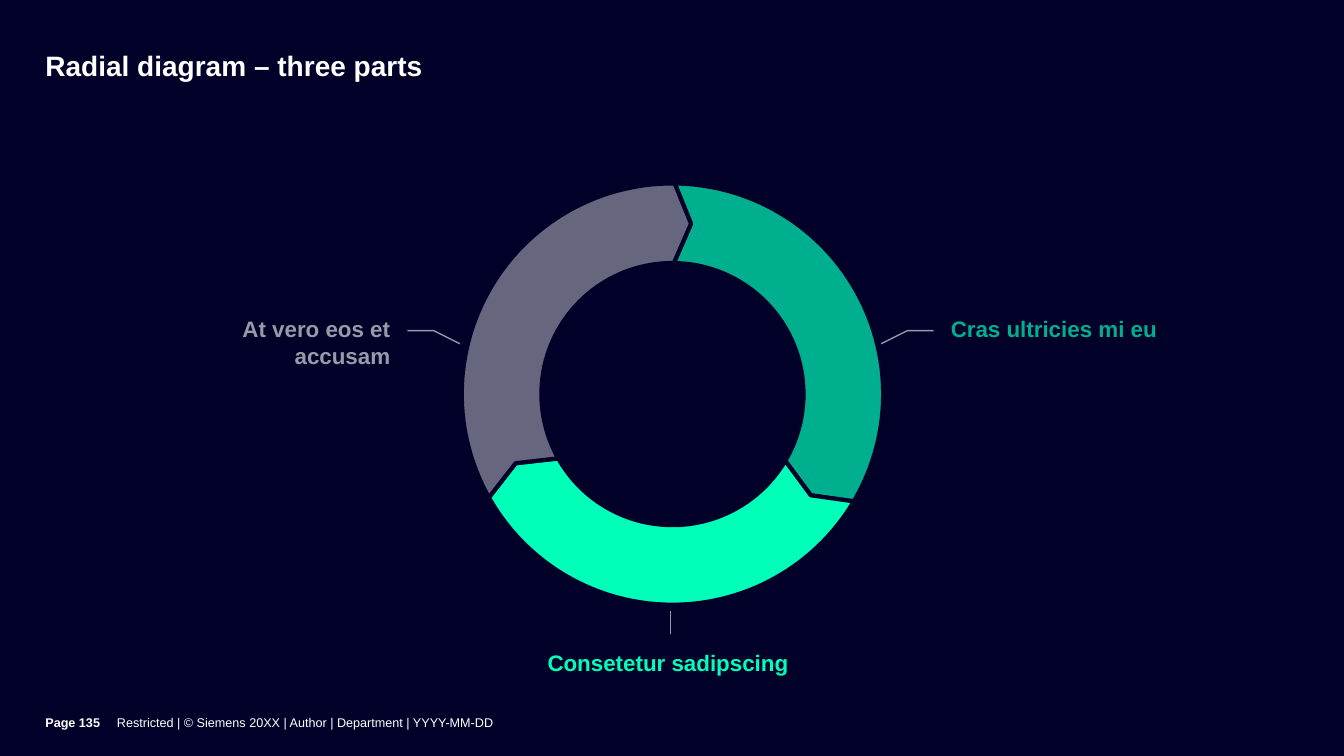
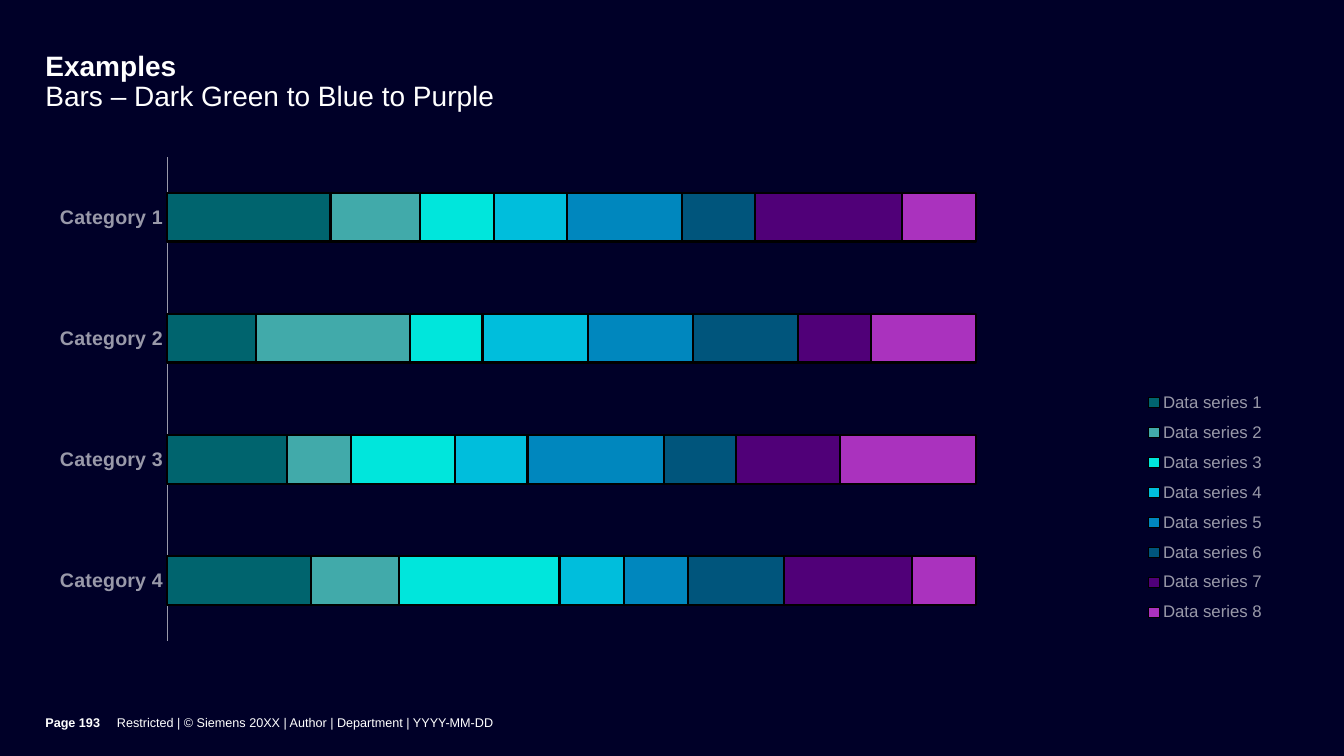
import math

from lxml import etree
from pptx import Presentation
from pptx.chart.data import CategoryChartData
from pptx.dml.color import RGBColor
from pptx.enum.chart import XL_CHART_TYPE, XL_LEGEND_POSITION, XL_TICK_MARK
from pptx.enum.shapes import MSO_CONNECTOR
from pptx.enum.text import MSO_ANCHOR, PP_ALIGN
from pptx.oxml.ns import qn
from pptx.util import Inches, Pt

LEFT, CENTER, RIGHT = PP_ALIGN.LEFT, PP_ALIGN.CENTER, PP_ALIGN.RIGHT
TOP, MIDDLE = MSO_ANCHOR.TOP, MSO_ANCHOR.MIDDLE
STRAIGHT = MSO_CONNECTOR.STRAIGHT
STACKED_100 = XL_CHART_TYPE.BAR_STACKED_100
LEGEND_RIGHT = XL_LEGEND_POSITION.RIGHT
NO_TICK = XL_TICK_MARK.NONE

FONT = "Arial"
COLORS = {
    "bg": "000028", "white": "FFFFFF", "black": "000000",
    "grey": "9999A9", "dark_grey": "66667E",
    "teal": "00AF8E", "mint": "00FFB9",
}
FOOTER = "Restricted | © Siemens 20XX | Author | Department | YYYY-MM-DD"

# Ring geometry: centre and radii in inches, angles clockwise from the top
CX, CY = 6.67, 3.91
OUTER, MID, INNER = 2.09, 1.7, 1.3
START, TIP, SWEEP, STEP = 0.6, 6.2, 120, 2

SERIES = [
    ("Data series 1", (20, 11, 15, 18), "00646E"),
    ("Data series 2", (11, 19, 8, 11), "41AAAA"),
    ("Data series 3", (9, 9, 13, 20), "00E6DC"),
    ("Data series 4", (9, 13, 9, 8), "00BEDC"),
    ("Data series 5", (14, 13, 17, 8), "0087BE"),
    ("Data series 6", (9, 13, 9, 12), "00557C"),
    ("Data series 7", (18, 9, 13, 16), "500078"),
    ("Data series 8", (9, 13, 17, 8), "AA32BE"),
]


def rgb(name):
    return RGBColor.from_string(COLORS.get(name, name))


def set_font(font, size, color, bold=False):
    font.name, font.size, font.bold = FONT, Pt(size), bold
    font.color.rgb = rgb(color)


def set_line(line, color, width):
    line.color.rgb = rgb(color)
    line.width = Pt(width)


def add_text(s, box, lines, size, color="white", align=LEFT, anchor=TOP,
             insets=(0, 0, 0, 0), spacing=None):
    """Add a text box; lines holds (text, bold) pairs split by line breaks."""
    tf = s.shapes.add_textbox(*map(Inches, box)).text_frame
    tf.word_wrap = True
    tf.vertical_anchor = anchor
    (tf.margin_left, tf.margin_top,
     tf.margin_right, tf.margin_bottom) = map(Inches, insets)
    p = tf.paragraphs[0]
    p.alignment = align
    p.line_spacing = spacing
    for i, (text, bold) in enumerate(lines):
        if i:
            p.add_line_break()
        r = p.add_run()
        r.text = text
        set_font(r.font, size, color, bold)


def add_outline(s, points, line, width, fill=None):
    """Draw a closed filled shape, or an open line when there is no fill."""
    pts = [(Inches(x), Inches(y)) for x, y in points]
    builder = s.shapes.build_freeform(*pts[0], scale=1.0)
    builder.add_line_segments(pts[1:], close=fill is not None)
    sp = builder.convert_to_shape()
    sp.shadow.inherit = False
    if fill:
        sp.fill.solid()
        sp.fill.fore_color.rgb = rgb(fill)
    else:
        sp.fill.background()
    set_line(sp.line, line, width)


def add_line(s, start, end, color, width):
    ln = s.shapes.add_connector(STRAIGHT, *map(Inches, (*start, *end)))
    set_line(ln.line, color, width)
    etree.SubElement(ln.element.spPr, qn("a:effectLst"))


def polar(radius, angle):
    a = math.radians(angle)
    return CX + radius * math.sin(a), CY - radius * math.cos(a)


def add_ring_arrow(s, index, color):
    a0 = START + index * SWEEP
    a1 = a0 + SWEEP
    steps = [a0 + k * STEP for k in range(SWEEP // STEP + 1)]
    points = [polar(OUTER, a) for a in steps]
    points.append(polar(MID, a1 + TIP - START))
    points += [polar(INNER, a) for a in reversed(steps)]
    points.append(polar(MID, a0 + TIP - START))
    add_outline(s, points, "bg", 3, color)


def manual_layout(x, y, w, h, inner=False):
    layout = etree.Element(qn("c:layout"))
    manual = etree.SubElement(layout, qn("c:manualLayout"))
    settings = [("layoutTarget", "inner")] if inner else []
    settings += [("xMode", "edge"), ("yMode", "edge"),
                 ("x", x), ("y", y), ("w", w), ("h", h)]
    for tag, value in settings:
        etree.SubElement(manual, qn("c:" + tag)).set("val", str(value))
    return layout


def place(parent, layout, index):
    for old in parent.findall(qn("c:layout")):
        parent.remove(old)
    parent.insert(index, layout)


def add_bar_chart(s, box, categories, series):
    data = CategoryChartData()
    data.categories = categories
    for name, values, _ in series:
        data.add_series(name, values)
    chart = s.shapes.add_chart(STACKED_100, *map(Inches, box), data).chart
    set_font(chart.font, 18, "white")
    chart.has_title = False

    # Bars
    plot = chart.plots[0]
    plot.gap_width, plot.overlap = 150, 100
    plot.vary_by_categories = False
    for bar, (_, _, color) in zip(plot.series, series):
        bar.format.fill.solid()
        bar.format.fill.fore_color.rgb = rgb(color)
        set_line(bar.format.line, "black", 1.5)

    # Axes
    cat, val = chart.category_axis, chart.value_axis
    cat.reverse_order = True
    cat.major_tick_mark = cat.minor_tick_mark = NO_TICK
    set_font(cat.tick_labels.font, 14, "grey", True)
    set_line(cat.format.line, "grey", 0.75)
    val.has_major_gridlines = False
    val.visible = False
    val.minimum_scale, val.maximum_scale = 0, 1

    # Legend and plot area
    chart.has_legend = True
    legend = chart.legend
    legend.position = LEGEND_RIGHT
    legend.include_in_layout = False
    set_font(legend.font, 12, "grey")
    place(chart.element.xpath("c:chart/c:plotArea")[0],
          manual_layout(0.097, 0, 0.645, 0.925, inner=True), 0)
    place(chart.element.xpath("c:chart/c:legend")[0],
          manual_layout(0.87, 0.43, 0.11, 0.48), 1)


def add_slide(prs, title, page):
    """Blank slide with the shared background, title and footer."""
    s = prs.slides.add_slide(prs.slide_layouts[6])
    s.background.fill.solid()
    s.background.fill.fore_color.rgb = rgb("bg")
    add_text(s, (0.45, 0.52, 10.79, 0.63), title, 20,
             insets=(0, 0, 0.35, 0.02), spacing=0.9)
    for left, width, text, bold in ((1.16, 10.08, FOOTER, False),
                                    (0.45, 0.71, f"Page {page}", True)):
        add_text(s, (left, 6.9, width, 0.6), [(text, bold)], 9,
                 anchor=MIDDLE, insets=(0, 0, 0, 0.07))
    return s


def radial_slide(prs):
    s = add_slide(prs, [("Radial diagram – three parts", True)], 135)
    for i, color in enumerate(("teal", "mint", "dark_grey")):
        add_ring_arrow(s, i, color)

    # Labels
    side, below = (0.16, 0, 0.16, 0), (0, 0.16, 0, 0)
    for text, color, box, align, insets in (
            ("Cras ultricies mi eu", "teal", (9.27, 3.13, 2.75, 0.79), LEFT, side),
            ("At vero eos et accusam", "grey", (1.28, 3.13, 2.75, 0.79), RIGHT, side),
            ("Consetetur sadipscing", "mint", (5.25, 6.28, 2.75, 0.46), CENTER, below)):
        add_text(s, box, [(text, True)], 16, color, align, insets=insets)

    # Leader lines, mirrored left and right
    for sign in (1, -1):
        leader = [(6.65 + sign * dx, y)
                  for dx, y in ((2.09, 3.41), (2.35, 3.28), (2.61, 3.28))]
        add_outline(s, leader, "grey", 1)
    add_line(s, (6.65, 6.06), (6.65, 6.29), "grey", 1)


def chart_slide(prs):
    s = add_slide(prs, [("Examples", True),
                        ("Bars – Dark Green to Blue to Purple", False)], 193)
    add_bar_chart(s, (0.45, 1.55, 12.44, 5.2),
                  [f"Category {n}" for n in range(1, 5)], SERIES)


def main():
    prs = Presentation()
    prs.slide_width, prs.slide_height = Inches(13.33), Inches(7.5)
    radial_slide(prs)
    chart_slide(prs)
    prs.save("out.pptx")


if __name__ == "__main__":
    main()
